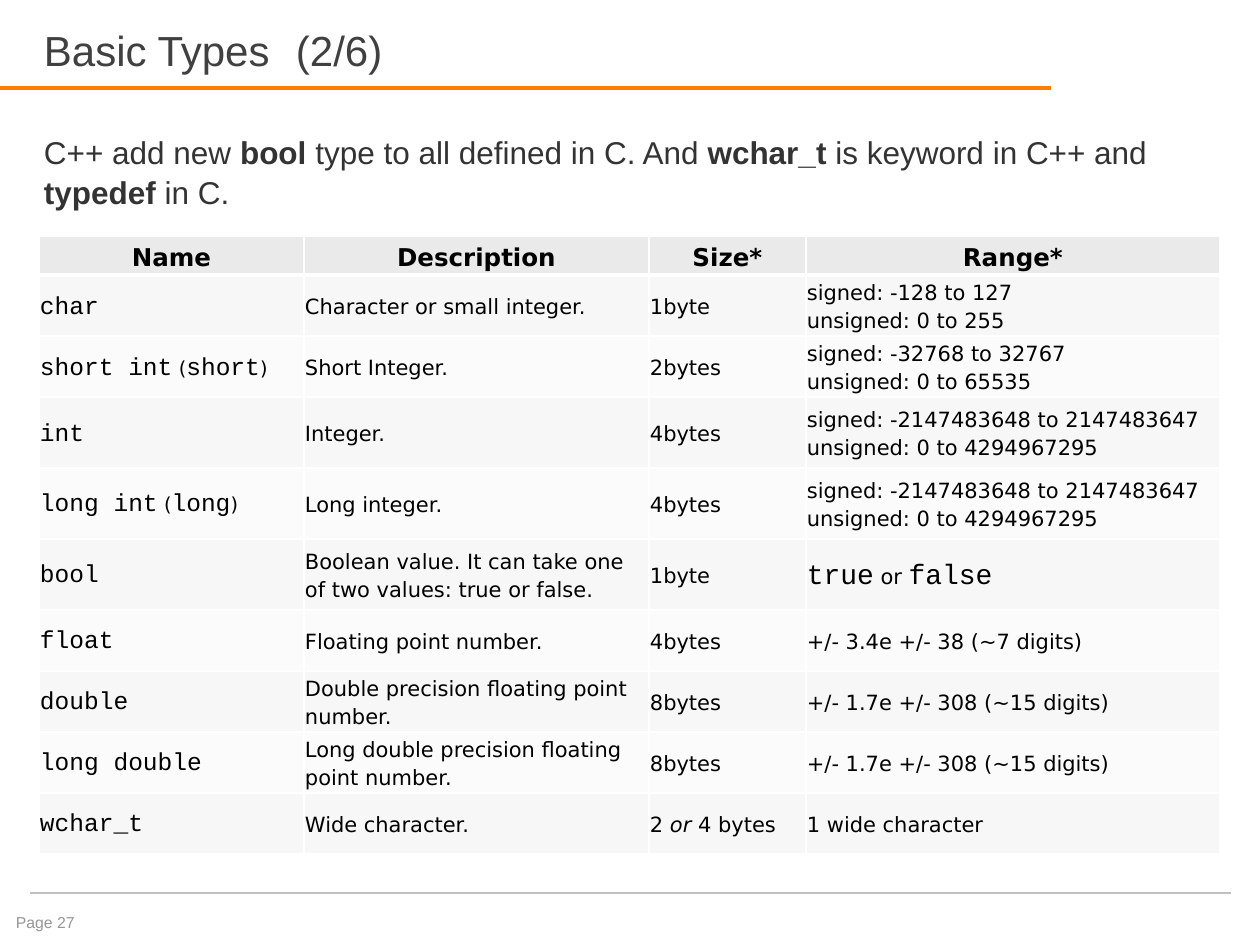
from copy import deepcopy
from dataclasses import dataclass

from lxml.etree import SubElement as Sub
from pptx import Presentation
from pptx.dml.color import RGBColor as RGB
from pptx.enum.shapes import MSO_CONNECTOR as Conn
from pptx.enum.text import MSO_ANCHOR as Anchor, PP_ALIGN as Align
from pptx.oxml.ns import qn
from pptx.util import Emu, Pt


@dataclass(frozen=True)
class Style:
    size: int
    font: str
    color: str = "000000"
    bold: bool = False
    slant: bool = False


class Theme:
    title = Style(24, "Arial", "404040")
    lead = Style(18, "Arial", "333333")
    strong = Style(18, "Arial", "333333", bold=True)
    page = Style(9, "Arial", "969696")
    head = Style(14, "DejaVu Sans", bold=True)
    cell = Style(12, "DejaVu Sans")
    slant = Style(12, "DejaVu Sans", slant=True)
    small = Style(11, "DejaVu Sans")
    code = Style(14, "Courier New")
    large = Style(16, "Courier New")
    accent = "FF7D00"
    rule = "C0C0C0"
    border = "FFFFFF"
    top = "EAEAEA"
    bands = ("F7F7F7", "FBFBFB")


COLS = (265, 345, 157, 414)
TALL, SHORT = 71, 61
ROWS = (39, SHORT, SHORT, TALL, TALL, TALL, SHORT, SHORT, SHORT, SHORT)
WIDE = "signed: -2147483648 to 2147483647\nunsigned: 0 to 4294967295"
LONG = "+/- 1.7e +/- 308 (~15 digits)"


def alias(name, short):
    return ((name, Theme.code), (" (", Theme.small),
            (short, Theme.code), (")", Theme.small))


DATA = (
    ("Name", "Description", "Size*", "Range*"),
    ("char", "Character or small integer.", "1byte",
     "signed: -128 to 127\nunsigned: 0 to 255"),
    (alias("short int", "short"), "Short Integer.", "2bytes",
     "signed: -32768 to 32767\nunsigned: 0 to 65535"),
    ("int", "Integer.", "4bytes", WIDE),
    (alias("long int", "long"), "Long integer.", "4bytes", WIDE),
    ("bool", "Boolean value. It can take one of two values: true or false.",
     "1byte",
     (("true", Theme.large), (" or ", Theme.cell), ("false", Theme.large))),
    ("float", "Floating point number.", "4bytes",
     "+/- 3.4e +/- 38 (~7 digits)"),
    ("double", "Double precision floating point number.", "8bytes", LONG),
    ("long double", "Long double precision floating point number.",
     "8bytes", LONG),
    ("wchar_t", "Wide character.",
     (("2 ", Theme.cell), ("or", Theme.slant), (" 4 bytes", Theme.cell)),
     "1 wide character"),
)


def px(num):
    return Emu(round(num * 914400 / 126))


def paint(run, style):
    font = run.font
    font.size, font.name = Pt(style.size), style.font
    font.bold, font.italic = style.bold, style.slant
    font.color.rgb = RGB.from_string(style.color)


def write(para, text, style):
    if isinstance(text, str):
        para.text = text
        for run in para.runs:
            paint(run, style)
        for gap in para._p.findall(qn("a:br")):
            gap.append(deepcopy(para.runs[0]._r.rPr))
        return
    for part, look in text:
        run = para.add_run()
        run.text = part
        paint(run, look)


def label(slide, box, text, style, anchor=Anchor.TOP, inset=0):
    frame = slide.shapes.add_textbox(*map(px, box)).text_frame
    frame.word_wrap = True
    frame.vertical_anchor = anchor
    frame.margin_left = frame.margin_right = px(inset)
    frame.margin_top = frame.margin_bottom = px(inset // 2)
    write(frame.paragraphs[0], text, style)
    return frame.paragraphs[0]


def rule(slide, left, top, width, color, weight):
    line = slide.shapes.add_connector(
        Conn.STRAIGHT, px(left), px(top), px(left + width), px(top))
    line.line.color.rgb = RGB.from_string(color)
    line.line.width = Pt(weight)
    Sub(line._element.spPr, qn("a:effectLst"))


def edge(cell, side, weight):
    line = Sub(cell._tc.get_or_add_tcPr(), qn("a:ln" + side),
               w=str(Pt(weight)))
    fill = Sub(line, qn("a:solidFill"))
    Sub(fill, qn("a:srgbClr"), val=Theme.border)


def header(slide, box):
    left, top, width, height = box
    rule(slide, -2, top + height + 13, 1053, Theme.accent, 2.25)
    label(slide, box, "Basic Types\t(2/6)", Theme.title, Anchor.BOTTOM)


def intro(slide, box):
    plain, strong = Theme.lead, Theme.strong
    para = label(slide, box, (
        ("C++ add new ", plain), ("bool", strong),
        (" type to all defined in C. And ", plain), ("wchar_t", strong),
        (" is keyword in C++ and ", plain), ("typedef", strong),
        (" in C.", plain)), plain)
    para.line_spacing = 1.05


def fill(cell, text, row, col):
    first = row == 0
    sides = ("L", "R", "T", "B") if first else ("L", "R", "B")
    for side in sides:
        edge(cell, side, 3 if first and side == "B" else 1)
    shade = Theme.top if first else Theme.bands[(row - 1) % 2]
    cell.fill.solid()
    cell.fill.fore_color.rgb = RGB.from_string(shade)
    cell.vertical_anchor = Anchor.MIDDLE
    cell.margin_left = cell.margin_right = px(1)
    cell.margin_top = cell.margin_bottom = px(1)
    para = cell.text_frame.paragraphs[0]
    para.alignment = Align.CENTER if first else Align.LEFT
    para.line_spacing = 1.15
    body = Theme.code if col == 0 else Theme.cell
    write(para, text, Theme.head if first else body)


def types(slide, box):
    grid = slide.shapes.add_table(
        len(ROWS), len(COLS), *map(px, box)).table
    grid.horz_banding = False
    for col, width in zip(grid.columns, COLS):
        col.width = px(width)
    for row, height in zip(grid.rows, ROWS):
        row.height = px(height)
    for row, texts in enumerate(DATA):
        for col, text in enumerate(texts):
            fill(grid.cell(row, col), text, row, col)


def footer(slide, box):
    left, top, width, height = box
    rule(slide, left + 26, top - 14, 1201, Theme.rule, 1.5)
    label(slide, box, "Page 27", Theme.page, inset=12)


def main():
    deck = Presentation()
    deck.slide_width, deck.slide_height = px(1260), px(945)
    slide = deck.slides.add_slide(deck.slide_layouts[6])
    header(slide, (44, 16, 1006, 59))
    intro(slide, (44, 131, 1172, 90))
    types(slide, (39, 236, sum(COLS), sum(ROWS)))
    footer(slide, (4, 907, 151, 38))
    deck.save("out.pptx")


if __name__ == "__main__":
    main()
